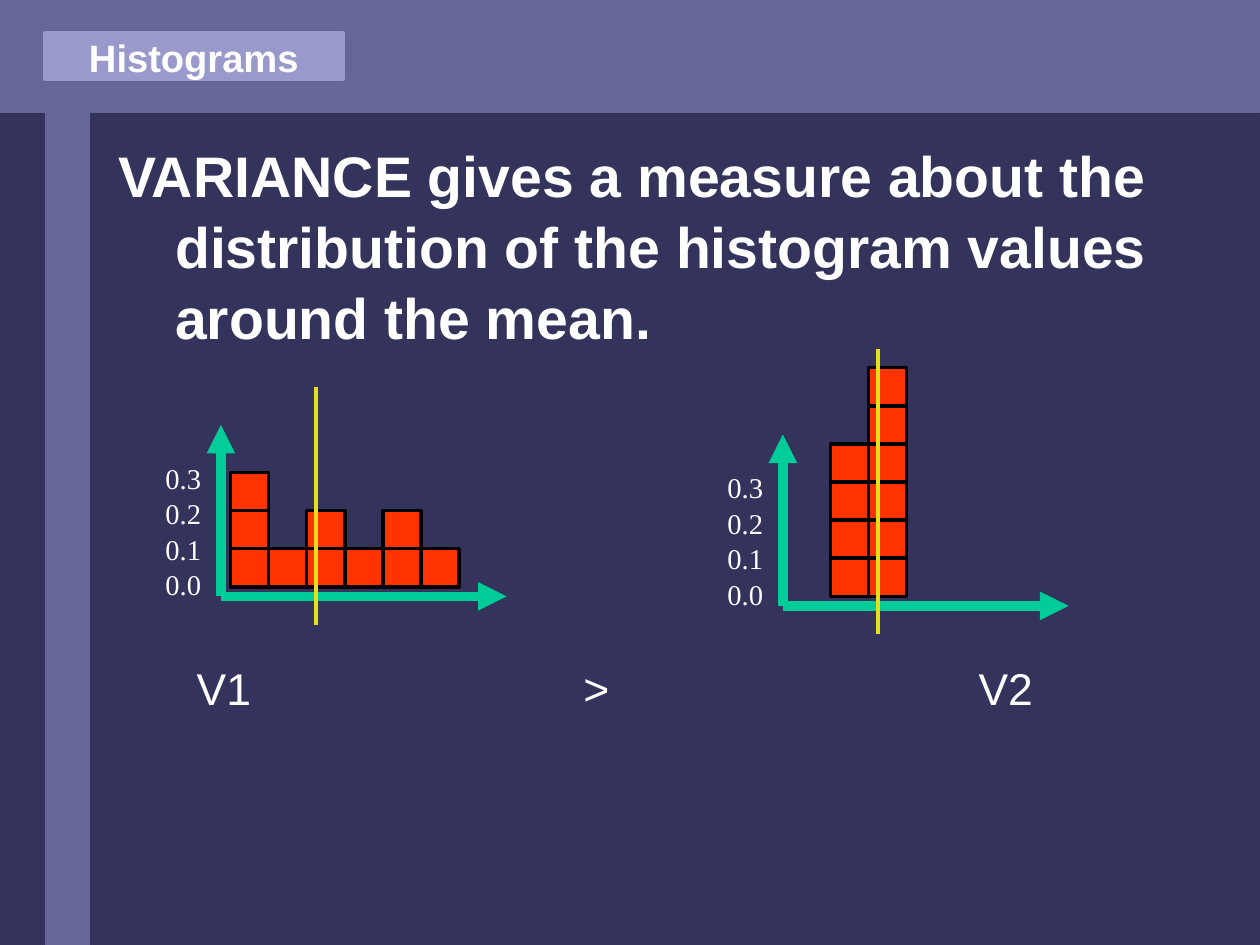
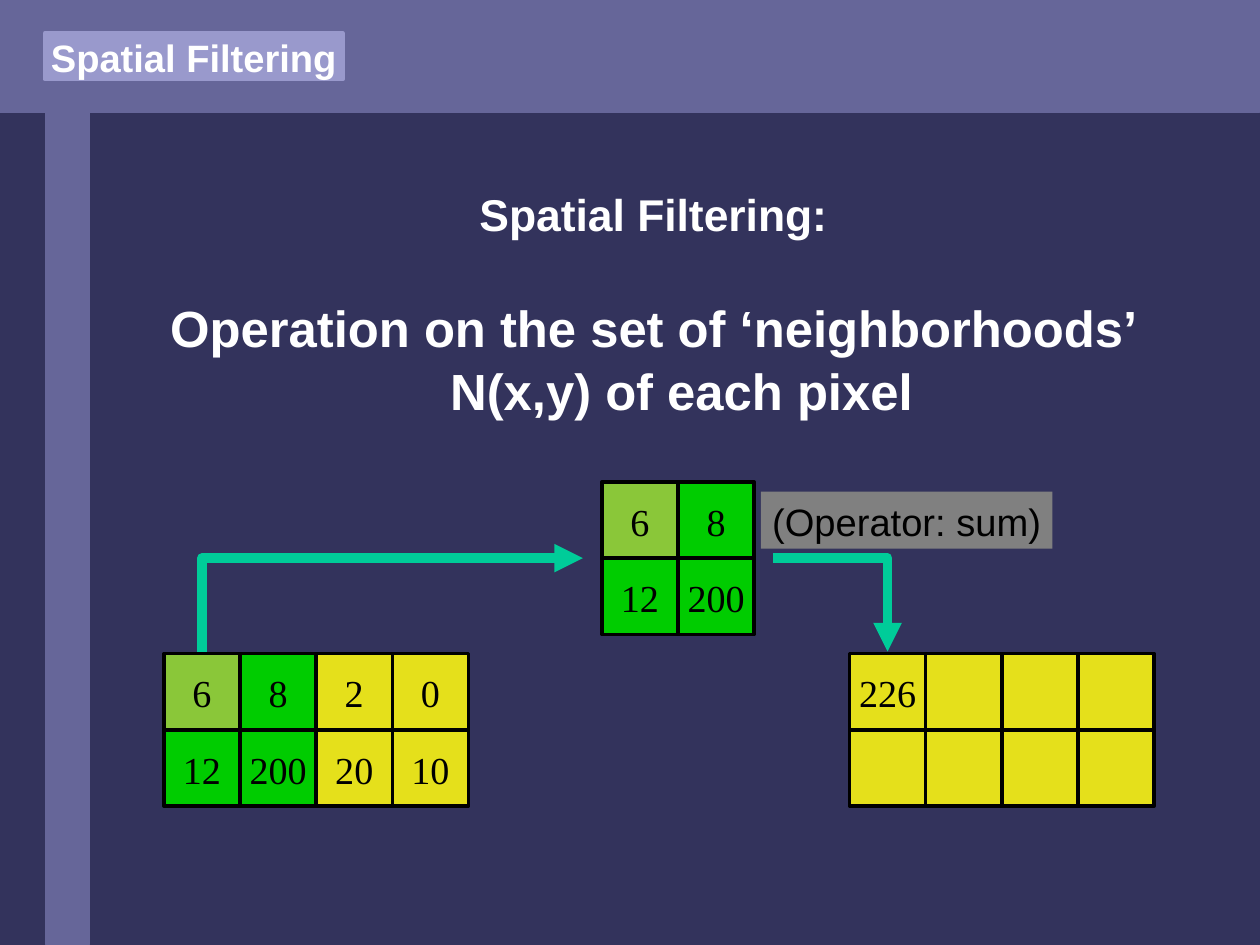
import dataclasses

import pptx
import pptx.dml.color
import pptx.enum.shapes
import pptx.enum.text
import pptx.oxml.ns
import pptx.oxml.xmlchemy
import pptx.presentation
import pptx.shapes.base
import pptx.shapes.connector
import pptx.slide
import pptx.text.text
import pptx.util

PX = 7620  # EMU: 120 px to the inch
WIDTH, HEIGHT = 1323, 992
COLORS = {
    "page": "33335C", "band": "666699", "title": "9999CC",
    "white": "FFFFFF", "black": "000000", "gray": "808080",
    "bar": "FF3300", "arrow": "00CC99", "yellow": "E5E01B",
    "green": "00CC00", "lime": "8AC739",
}
SANS, SERIF = "Arial", "Times New Roman"
LEVELS = ("0.3", "0.2", "0.1", "0.0")
BAR, CELL = 40, 80
ALIGN = pptx.enum.text.PP_ALIGN
ANCHOR = pptx.enum.text.MSO_ANCHOR
LINE = pptx.enum.shapes.MSO_CONNECTOR
Point = tuple[int, int]


@dataclasses.dataclass(frozen=True)
class Box:
    left: int
    top: int
    width: int
    height: int

    def emu(self) -> list[int]:
        return [px(length) for length in dataclasses.astuple(self)]


@dataclasses.dataclass(frozen=True)
class Histogram:
    origin: Point
    bars_offset: int
    counts: tuple[int, ...]
    mean_height: int


@dataclasses.dataclass(frozen=True)
class PixelGrid:
    left: int
    top: int
    values: tuple[tuple[str, ...], ...]
    fills: tuple[tuple[str, ...], ...]


HISTOGRAMS = (
    Histogram((232, 626), 10, (3, 1, 2, 1, 2, 1), 220),
    Histogram((822, 636), 50, (4, 6), 270),
)
PIXEL_GRIDS = (
    PixelGrid(172, 686, (("6", "8", "2", "0"), ("12", "200", "20", "10")),
              (("lime", "green", "yellow", "yellow"),
               ("green", "green", "yellow", "yellow"))),
    PixelGrid(892, 686, (("226", "", "", ""), ("",) * 4), (("yellow",) * 4,) * 2),
    PixelGrid(632, 506, (("6", "8"), ("12", "200")),
              (("lime", "green"), ("green", "green"))),
)


def px(length: int) -> int:
    return pptx.util.Emu(length * PX)


def rgb(color: str) -> pptx.dml.color.RGBColor:
    return pptx.dml.color.RGBColor.from_string(COLORS[color])


def paint(shape: pptx.shapes.base.BaseShape, fill: str,
          outline: str | None = None, weight: float = 0.75) -> None:
    shape.fill.solid()
    shape.fill.fore_color.rgb = rgb(fill)
    if outline:
        shape.line.color.rgb = rgb(outline)
        shape.line.width = pptx.util.Pt(weight)
    else:
        shape.line.fill.background()


def add_rectangle(slide: pptx.slide.Slide, box: Box, fill: str,
                  outline: str | None = None, weight: float = 0.75) -> pptx.shapes.base.BaseShape:
    shape = slide.shapes.add_shape(pptx.enum.shapes.MSO_SHAPE.RECTANGLE, *box.emu())
    shape.shadow.inherit = False
    paint(shape, fill, outline, weight)
    return shape


def open_frame(shape: pptx.shapes.base.BaseShape,
               anchor: ANCHOR = ANCHOR.MIDDLE) -> pptx.text.text.TextFrame:
    frame = shape.text_frame
    frame.word_wrap = True
    frame.auto_size = pptx.enum.text.MSO_AUTO_SIZE.NONE
    frame.vertical_anchor = anchor
    frame.margin_left = frame.margin_right = frame.margin_top = frame.margin_bottom = 0
    return frame


def add_text_frame(slide: pptx.slide.Slide, box: Box) -> pptx.text.text.TextFrame:
    return open_frame(slide.shapes.add_textbox(*box.emu()), ANCHOR.TOP)


def write(frame: pptx.text.text.TextFrame, text: str, *, size: int, font: str = SANS,
          color: str = "white", bold: bool = False, align: ALIGN = ALIGN.CENTER,
          hanging: int = 0, space_before: int = 0) -> None:
    """Fill the frame's empty first paragraph, or add one below."""
    paragraph = frame.paragraphs[0] if not frame.text else frame.add_paragraph()
    if hanging:
        properties = paragraph._p.get_or_add_pPr()
        properties.set("marL", str(px(hanging)))
        properties.set("indent", str(-px(hanging)))
    paragraph.alignment = align
    paragraph.line_spacing = 1.04
    if space_before:
        paragraph.space_before = pptx.util.Pt(space_before)
    run = paragraph.add_run()
    run.text = text
    run.font.name = font
    run.font.size = pptx.util.Pt(size)
    run.font.bold = bold
    run.font.color.rgb = rgb(color)


def add_line(slide: pptx.slide.Slide, begin: Point, end: Point, color: str, weight: float,
             kind: LINE = LINE.STRAIGHT, arrow: bool = False) -> pptx.shapes.connector.Connector:
    connector = slide.shapes.add_connector(kind, *map(px, begin + end))
    connector.line.color.rgb = rgb(color)
    connector.line.width = pptx.util.Pt(weight)
    if arrow:
        head = pptx.oxml.xmlchemy.OxmlElement("a:tailEnd")
        head.set("type", "triangle")
        connector.line._get_or_add_ln().append(head)
    connector._element.spPr.append(pptx.oxml.xmlchemy.OxmlElement("a:effectLst"))
    return connector


def add_corner_arrow(slide: pptx.slide.Slide, begin: Point, end: Point,
                     rising: bool = False) -> None:
    """Turn once: across then down, or, when rising, up then across."""
    if rising:
        # The frame is stored before its quarter turn about the centre.
        center_x, center_y = (begin[0] + end[0]) // 2, (begin[1] + end[1]) // 2
        half_width, half_height = (begin[1] - end[1]) // 2, (end[0] - begin[0]) // 2
        begin = (center_x + half_width, center_y + half_height)
        end = (center_x - half_width, center_y - half_height)
    connector = add_line(slide, begin, end, "arrow", 6, LINE.ELBOW, arrow=True)
    properties = connector._element.spPr
    properties.find(pptx.oxml.ns.qn("a:prstGeom")).set("prst", "bentConnector2")
    if rising:
        properties.find(pptx.oxml.ns.qn("a:xfrm")).set("rot", "5400000")


def add_page(deck: pptx.presentation.Presentation, heading: str) -> pptx.slide.Slide:
    slide = deck.slides.add_slide(deck.slide_layouts.get_by_name("Title Only"))
    slide.background.fill.solid()
    slide.background.fill.fore_color.rgb = rgb("page")
    for band in (Box(0, 0, WIDTH, 118), Box(48, 92, 46, 900)):
        add_rectangle(slide, band, "band", "band")
    title = slide.shapes.title
    slide.shapes._spTree.append(title._element)  # in front of the bands
    title.left, title.top, title.width, title.height = Box(47, 35, 313, 48).emu()
    paint(title, "title", "title", 2.83)
    write(open_frame(title), heading, size=24, bold=True)
    return slide


def add_histogram(slide: pptx.slide.Slide, histogram: Histogram) -> None:
    x, y = histogram.origin
    for column, count in enumerate(histogram.counts):
        for level in range(count):
            square = Box(x + histogram.bars_offset + column * BAR,
                         y - 10 - (level + 1) * BAR, BAR, BAR)
            add_rectangle(slide, square, "bar", "black", 2.25)
    for tip in ((x, y - 180), (x + 300, y)):
        add_line(slide, (x, y), tip, "arrow", 6, arrow=True)
    labels = add_text_frame(slide, Box(x - 70, y - 144, 61, 144))
    for level in LEVELS:
        write(labels, level, size=18, font=SERIF)
    mean_x = x + 100
    add_line(slide, (mean_x, y + 30), (mean_x, y - histogram.mean_height), "yellow", 2.25)


def add_pixel_grid(slide: pptx.slide.Slide, grid: PixelGrid) -> None:
    for row, (values, fills) in enumerate(zip(grid.values, grid.fills)):
        for column, (value, fill) in enumerate(zip(values, fills)):
            pixel = add_rectangle(
                slide, Box(grid.left + column * CELL, grid.top + row * CELL, CELL, CELL),
                fill, "black", 2.25)
            if value:
                write(open_frame(pixel), value, size=24, font=SERIF, color="black")


def build_histograms(deck: pptx.presentation.Presentation) -> None:
    slide = add_page(deck, "Histograms")
    statement = add_text_frame(slide, Box(124, 144, 1166, 220))
    write(statement, "VARIANCE gives a measure about the distribution of the "
          "histogram values around the mean.",
          size=36, bold=True, align=ALIGN.LEFT, hanging=60)
    for histogram in HISTOGRAMS:
        add_histogram(slide, histogram)
    for term, center in (("V1", 235), (">", 626), ("V2", 1056)):
        write(add_text_frame(slide, Box(center - 40, 692, 80, 56)), term, size=28)


def build_spatial_filtering(deck: pptx.presentation.Presentation) -> None:
    slide = add_page(deck, "Spatial Filtering")
    definition = add_text_frame(slide, Box(103, 194, 1166, 250))
    write(definition, "Spatial Filtering:", size=28, bold=True, hanging=60)
    write(definition, "Operation on the set of ‘neighborhoods’ N(x,y) of each pixel",
          size=32, bold=True, hanging=60, space_before=34)
    for grid in PIXEL_GRIDS:
        add_pixel_grid(slide, grid)
    add_corner_arrow(slide, (212, 684), (612, 586), rising=True)
    add_corner_arrow(slide, (812, 586), (932, 684))
    operator = add_rectangle(slide, Box(799, 516, 306, 60), "gray")
    write(open_frame(operator), "(Operator: sum)", size=24, color="black")


def main() -> None:
    deck = pptx.Presentation()
    deck.slide_width, deck.slide_height = px(WIDTH), px(HEIGHT)
    build_histograms(deck)
    build_spatial_filtering(deck)
    deck.save("out.pptx")


if __name__ == "__main__":
    main()
